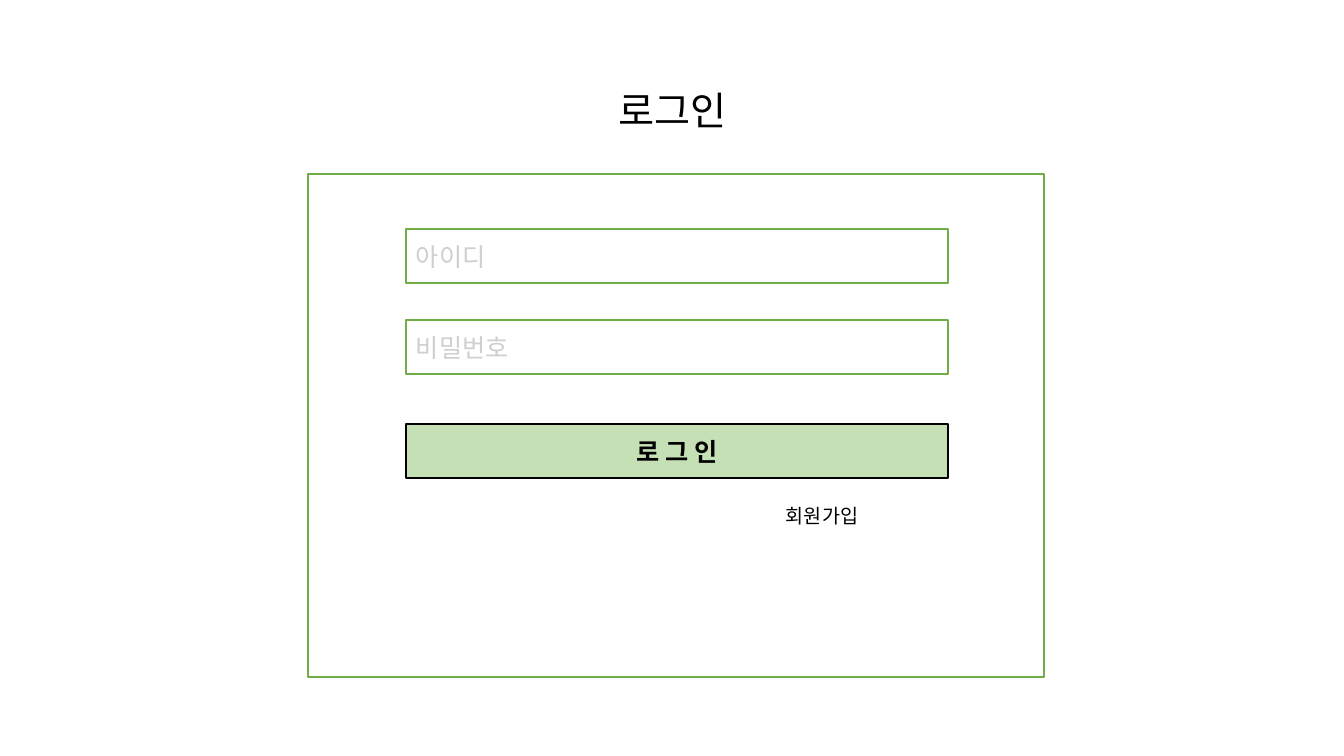
from lxml.etree import SubElement
from pptx import Presentation
from pptx.dml.color import RGBColor
from pptx.enum.shapes import MSO_SHAPE
from pptx.enum.text import MSO_ANCHOR, PP_ALIGN
from pptx.oxml.ns import qn
from pptx.util import Pt

SCALE = 914400 / 100.8
FONT = "Noto Sans CJK KR"
COLORS = {"white": "FFFFFF", "green": "70AD47", "pale": "C5E0B4",
          "black": "000000", "hint": "D0CECE"}


def px(n):
    """Turn pixels into EMU."""
    return round(n * SCALE)


def rgb(name):
    """Look up a named colour."""
    return RGBColor.from_string(COLORS[name])


def set_all(obj, values):
    """Set attributes from a dict."""
    for key, value in values.items():
        setattr(obj, key, value)


def write(s, text, size, color="black", align=PP_ALIGN.LEFT, bold=False, **frame):
    """Write one formatted paragraph into a shape."""
    tf = s.text_frame
    set_all(tf, {"word_wrap": True, "vertical_anchor": MSO_ANCHOR.MIDDLE, **frame})
    p = tf.paragraphs[0]
    p.alignment = align
    r = p.add_run()
    r.text = text
    set_all(r.font, {"size": Pt(size), "bold": bold, "name": FONT})
    r.font.color.rgb = rgb(color)
    SubElement(r.font._element, qn("a:ea"), typeface=FONT)
    return p


def add_box(s, box, fill="white", line="green"):
    """Add a flat outlined rectangle."""
    sp = s.shapes.add_shape(MSO_SHAPE.RECTANGLE, *map(px, box))
    sp.shadow.inherit = False
    sp.fill.solid()
    sp.fill.fore_color.rgb = rgb(fill)
    sp.line.color.rgb = rgb(line)
    sp.line.width = Pt(1)
    return sp


def add_title(s, text):
    """Place and fill the title placeholder."""
    title = s.shapes.title
    set_all(title, {"left": px(93), "top": px(40), "width": px(1159), "height": px(146)})
    write(title, text, 28, align=PP_ALIGN.CENTER).line_spacing = 0.9


def main():
    """Build the login slide."""
    prs = Presentation()
    set_all(prs, {"slide_width": px(1344), "slide_height": px(756)})
    s = prs.slides.add_slide(prs.slide_layouts[5])
    add_title(s, "로그인")

    panel = add_box(s, (308, 174, 736, 503))
    write(panel, "회원가입", 14, vertical_anchor=MSO_ANCHOR.TOP,
          margin_left=px(478), margin_top=px(330))

    row = {"left": 406, "width": 542, "height": 54}
    for top, hint in ((229, "아이디"), (320, "비밀번호")):
        field = add_box(s, (row["left"], top, row["width"], row["height"]))
        write(field, hint, 18, "hint")

    button = add_box(s, (row["left"], 424, row["width"], row["height"]), "pale", "black")
    write(button, "로 그 인", 18, align=PP_ALIGN.CENTER, bold=True)
    prs.save("out.pptx")


main()
